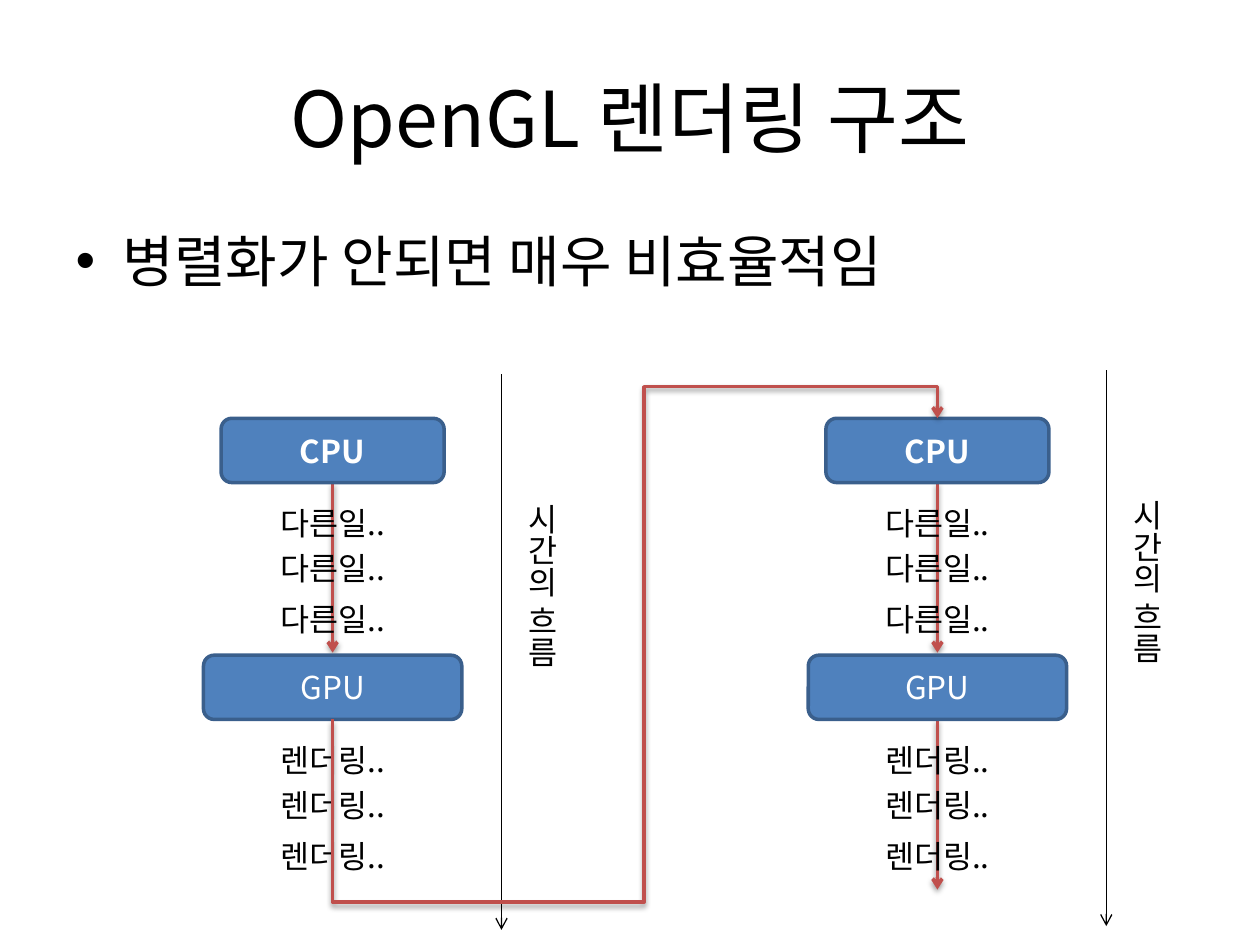
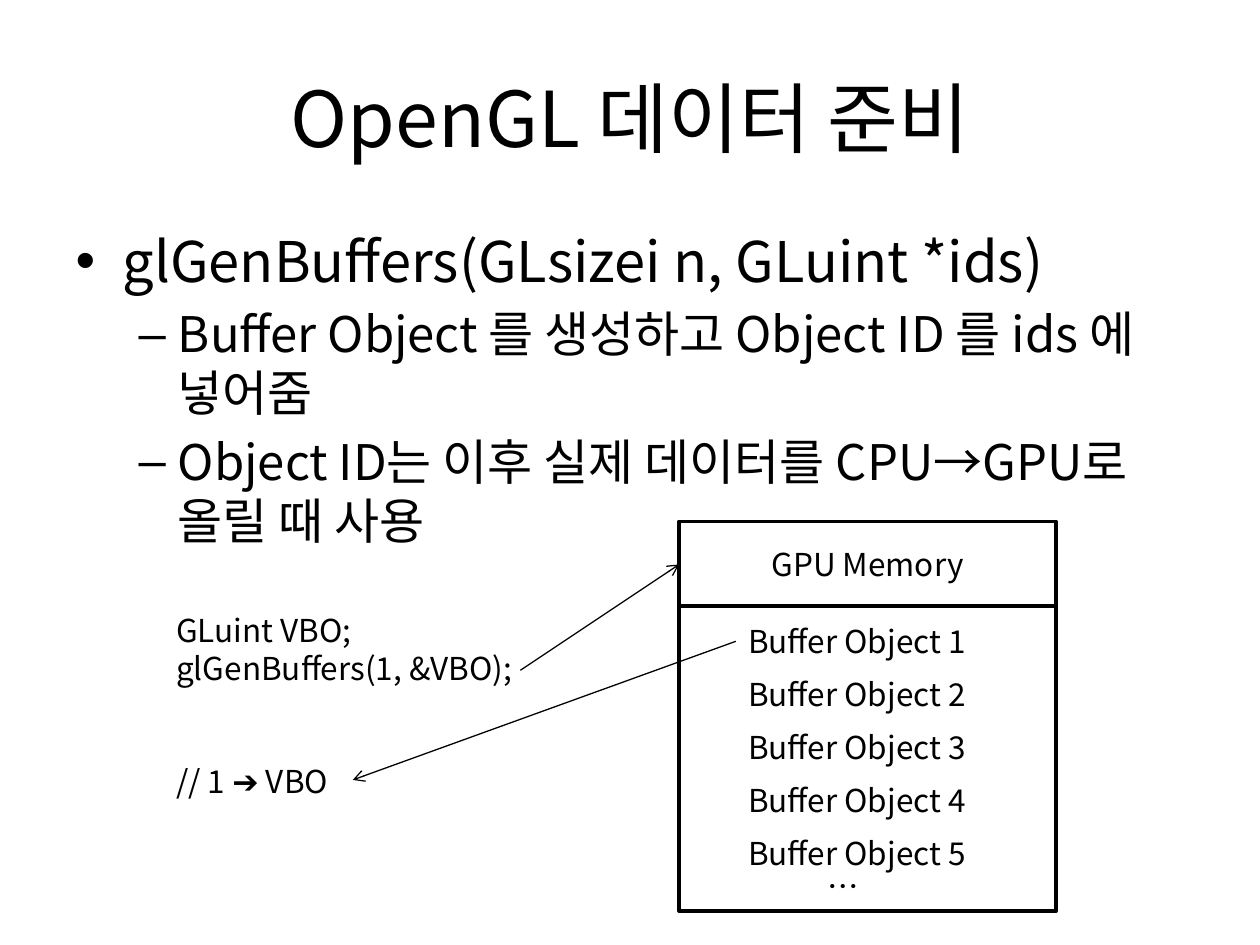
from lxml.etree import SubElement
from pptx import Presentation
from pptx.dml.color import RGBColor
from pptx.enum.shapes import MSO_CONNECTOR, MSO_SHAPE
from pptx.enum.text import MSO_ANCHOR, MSO_AUTO_SIZE, PP_ALIGN
from pptx.oxml.ns import qn
from pptx.util import Inches, Pt

FONT = "Noto Sans CJK KR"
BLACK, WHITE = "000000", "FFFFFF"
BLUE, DARK_BLUE, RED = "4F81BD", "3A5F8C", "C0504D"


def color(value):
    return RGBColor.from_string(value)


class Composer:
    """Holds the deck style and the current page, and draws elements on it."""

    def __init__(self):
        self.deck = Presentation()
        self.deck.slide_width, self.deck.slide_height = Inches(10), Inches(7.5)
        self.page = None

    def start(self, title, items):
        self.page = self.deck.slides.add_slide(self.deck.slide_layouts[1])
        heading, body = self.page.placeholders
        self.fill_text(heading.text_frame, [title], 44, align=PP_ALIGN.CENTER)
        self.fill_text(body.text_frame, [text for text, _ in items])
        for para, (_, level) in zip(body.text_frame.paragraphs, items):
            para.level = level
            para.font.size = Pt((32, 28)[level])

    def fill_text(self, frame, lines, size=18, ink=BLACK, bold=None, align=None):
        frame.text = "\n".join(lines)
        for para in frame.paragraphs:
            para.alignment = align
            para.font.name, para.font.size, para.font.bold = FONT, Pt(size), bold
            para.font.color.rgb = color(ink)
            defaults = para._p.pPr.find(qn("a:defRPr"))
            SubElement(defaults, qn("a:ea"), typeface=FONT)

    def label(self, lines, left, top, width, height=0.4, align=None, vertical=False):
        box = self.page.shapes.add_textbox(*map(Inches, (left, top, width, height)))
        frame = box.text_frame
        self.fill_text(frame, lines, align=align)
        frame.word_wrap = True
        frame.auto_size = MSO_AUTO_SIZE.SHAPE_TO_FIT_TEXT
        if vertical:
            frame._txBody.bodyPr.set("vert", "eaVert")
        return frame

    def block(self, kind, left, top, width, height, fill, line, text="", ink=BLACK, bold=None):
        shape = self.page.shapes.add_shape(kind, *map(Inches, (left, top, width, height)))
        shape.shadow.inherit = False
        shape.fill.solid()
        shape.fill.fore_color.rgb = color(fill)
        shape.line.color.rgb, shape.line.width = color(line), Pt(2)
        if text:
            shape.text_frame.vertical_anchor = MSO_ANCHOR.MIDDLE
            self.fill_text(shape.text_frame, [text], ink=ink, bold=bold, align=PP_ALIGN.CENTER)

    def arrow(self, start, end, ink=BLACK, width=0.75, shadow=False, kind=MSO_CONNECTOR.STRAIGHT):
        link = self.page.shapes.add_connector(kind, *map(Inches, (*start, *end)))
        link.line.color.rgb, link.line.width = color(ink), Pt(width)
        properties = link._element.spPr
        SubElement(properties.find(qn("a:ln")), qn("a:tailEnd"), type="arrow")
        effects = SubElement(properties, qn("a:effectLst"))
        if shadow:
            cast = SubElement(effects, qn("a:outerShdw"), blurRad=str(Pt(3.1)),
                              dist=str(Pt(1.6)), dir="5400000", rotWithShape="0")
            tint = SubElement(cast, qn("a:srgbClr"), val=BLACK)
            SubElement(tint, qn("a:alpha"), val="38000")
        return link

    def flow(self, start, end):
        self.arrow(start, end, RED, 2, True)

    def loop(self, start, end, bends):
        (x1, y1), (x2, y2) = start, end
        middle_x, middle_y = (x1 + x2) / 2, (y1 + y2) / 2
        half_run, half_rise = (x2 - x1) / 2, (y1 - y2) / 2
        link = self.arrow((middle_x + half_rise, middle_y + half_run),
                          (middle_x - half_rise, middle_y - half_run),
                          RED, 2, True, MSO_CONNECTOR.ELBOW)
        properties = link._element.spPr
        properties.find(qn("a:xfrm")).set("rot", "5400000")
        geometry = properties.find(qn("a:prstGeom"))
        geometry.set("prst", "bentConnector5")
        guides = geometry.find(qn("a:avLst"))
        if guides is None:
            guides = SubElement(geometry, qn("a:avLst"))
        low, across, high = bends
        ratios = ((y1 - low) / (y1 - y2), (across - x1) / (x2 - x1), (y1 - high) / (y1 - y2))
        for number, ratio in enumerate(ratios, 1):
            SubElement(guides, qn("a:gd"), name=f"adj{number}", fmla=f"val {round(ratio * 100000)}")


def rendering_page(composer):
    composer.start("OpenGL 렌더링 구조", [("병렬화가 안되면 매우 비효율적임", 0)])
    cpu_top, gpu_top, height = 3.32, 5.2, 0.51
    cpu_end, gpu_end = cpu_top + height, gpu_top + height
    first, second = 2.64, 7.44
    for center, time_top in ((first, 2.97), (second, 2.94)):
        composer.flow((center, cpu_end), (center, 5.18))
        if center == second:
            composer.flow((center, gpu_end), (center, 7.06))
        for name, top, width, bold, task in (("CPU", cpu_top, 1.77, True, "다른일.."),
                                             ("GPU", gpu_top, 2.05, None, "렌더링..")):
            composer.block(MSO_SHAPE.ROUNDED_RECTANGLE, center - width / 2, top, width, height,
                           BLUE, DARK_BLUE, name, WHITE, bold)
            for offset in (0, 0.36, 0.76):
                composer.label([task], center - 0.55, top + 0.63 + offset, 1.1,
                               align=PP_ALIGN.CENTER)
        composer.arrow((center + 1.34, time_top), (center + 1.34, time_top + 4.41))
        composer.label(["시간의 흐름"], center + 1.36, time_top + 0.93, 0.5, 2.36, vertical=True)
    composer.loop((first, gpu_end), (second, cpu_top), (7.16, 5.11, 3.07))


def data_page(composer):
    composer.start("OpenGL 데이터 준비", [
        ("glGenBuffers(GLsizei n, GLuint *ids)", 0),
        ("Buffer Object 를 생성하고 Object ID 를 ids 에 넣어줌", 1),
        ("Object ID는 이후 실제 데이터를 CPU→GPU로 올릴 때 사용", 1),
    ])
    code = composer.label(["GLuint VBO;", "glGenBuffers(1, &VBO);", "// 1 ➔ VBO"],
                          1.3, 4.8, 3.31, 1.62)
    code.paragraphs[-1].space_before = Pt(43)
    for height, text in ((3.09, ""), (0.67, "GPU Memory")):
        composer.block(MSO_SHAPE.FLOWCHART_PROCESS, 5.39, 4.14, 2.99, height, WHITE, BLACK, text)
    composer.arrow((4.13, 5.32), (5.39, 4.48))
    composer.arrow((5.84, 5.09), (2.8, 6.19))
    for index in range(5):
        composer.label([f"Buffer Object {index + 1}"], 5.84, 4.89 + 0.42 * index, 2.04)
    composer.label(["…"], 6.47, 6.83, 0.5)


def main():
    composer = Composer()
    rendering_page(composer)
    data_page(composer)
    composer.deck.save("out.pptx")


if __name__ == "__main__":
    main()
